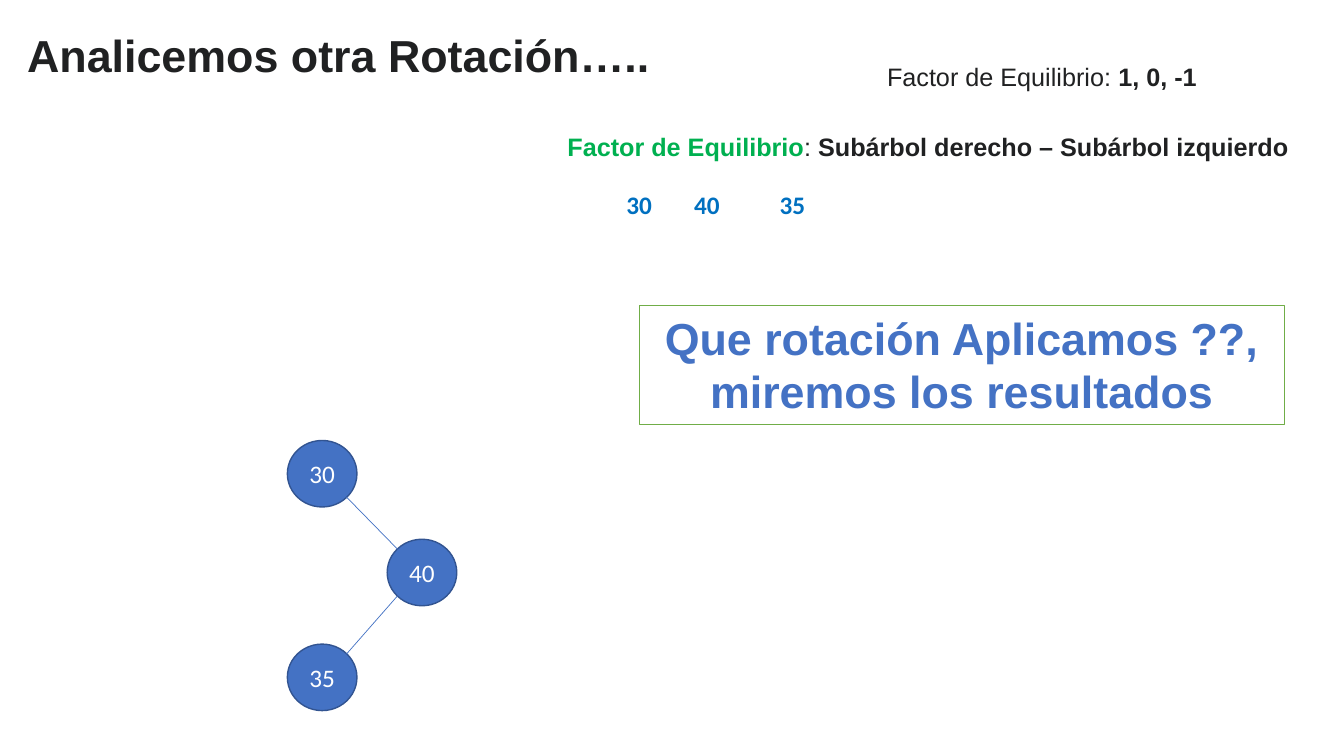
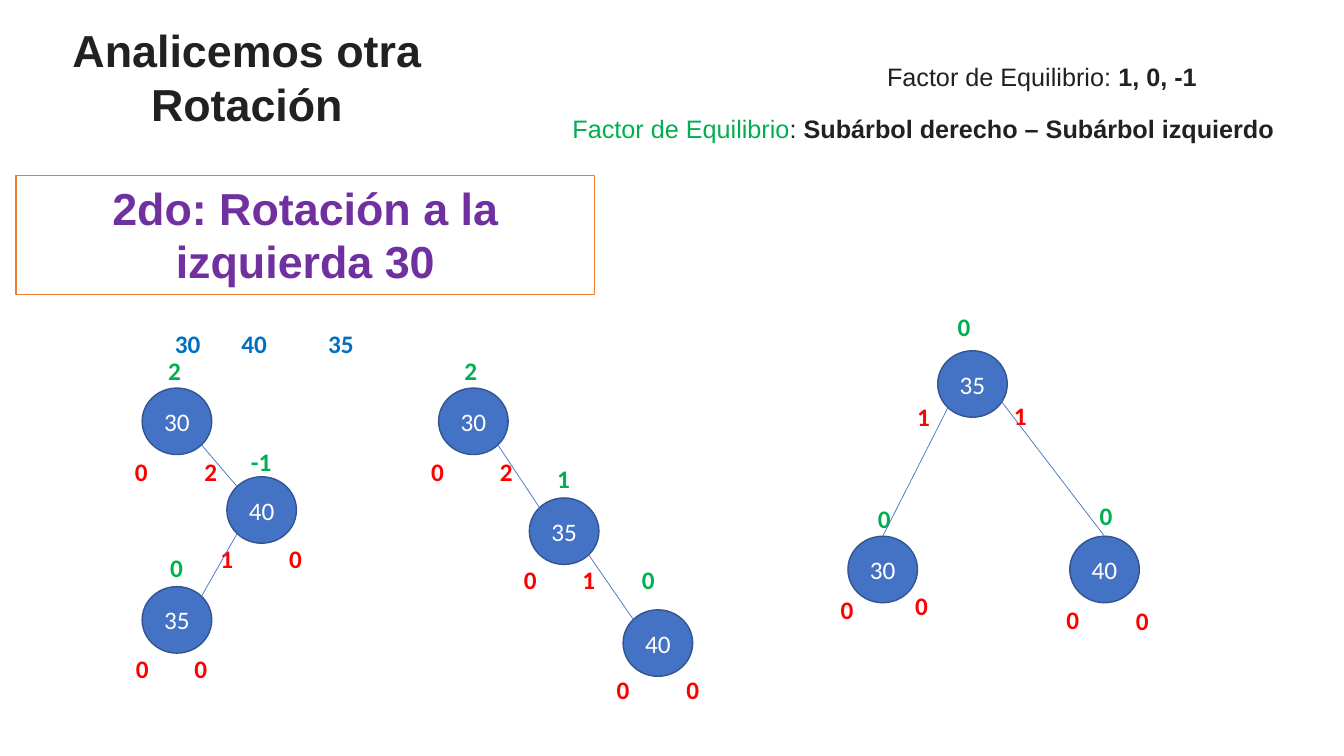
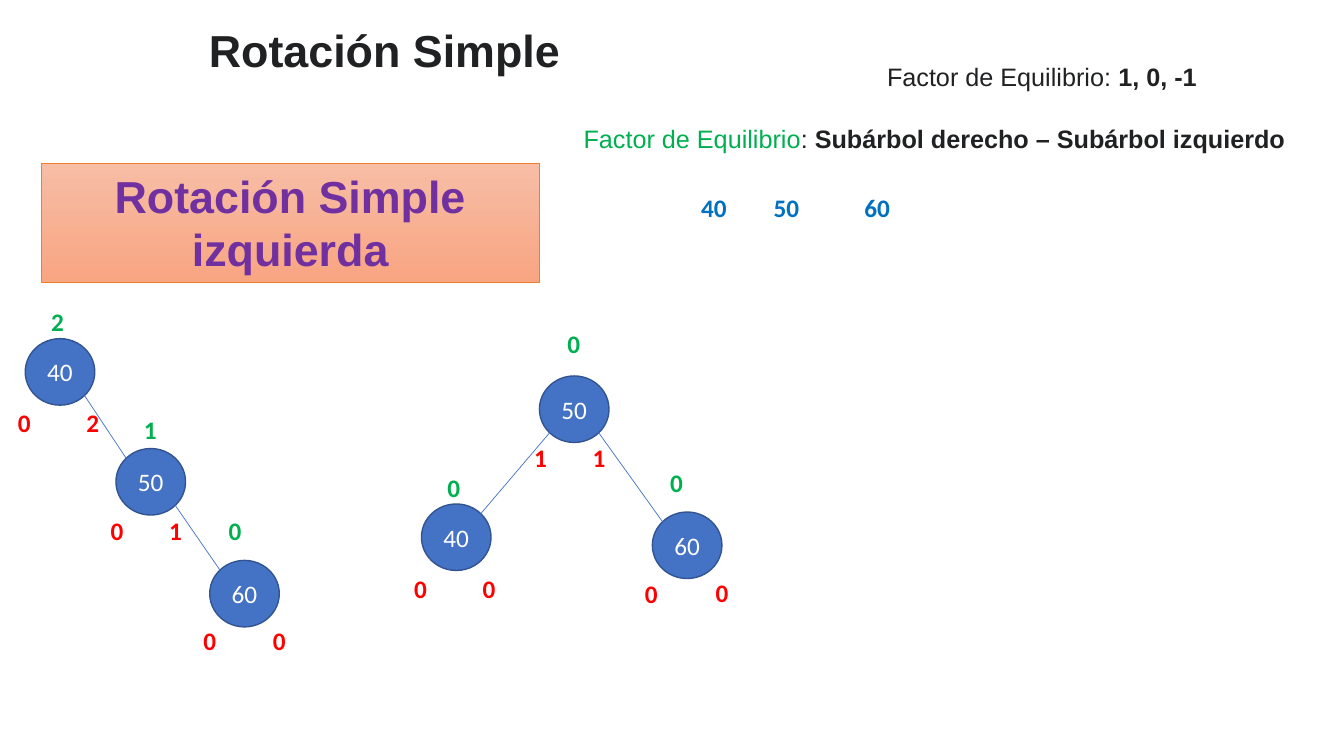
from lxml.etree import SubElement
from pptx import Presentation
from pptx.dml.color import RGBColor
from pptx.enum.shapes import MSO_CONNECTOR, MSO_SHAPE
from pptx.enum.text import MSO_ANCHOR, MSO_AUTO_SIZE, PP_ALIGN
from pptx.oxml.ns import qn
from pptx.util import Inches, Pt

COLORS = {
    "ink": "202122", "green": "00B050", "blue": "0070C0", "red": "FF0000",
    "purple": "7030A0", "node": "4472C4", "node_line": "325491",
    "white": "FFFFFF", "lime": "70AD47", "orange": "ED7D31",
    "peach": "F7BDA5", "salmon": "F8A582",
}
NODE_W, NODE_H = 0.69, 0.66
LABEL_W, LABEL_H = 0.48, 0.4
LABEL_COLORS = ("green", "red", "red")

N, NW, NE, SW, SE = (0.5, 0), (0.15, 0.15), (0.85, 0.15), (0.15, 0.85), (0.85, 0.85)

# node: key, dx, dy, then (value, dx, dy) for balance, left height, right height
ZIGZAG_EDGES = [(0, 1, SE, NW), (1, 2, SW, NE)]
CHAIN_EDGES = [(0, 1, SE, NW), (1, 2, SE, NW)]
FORK_EDGES = [(0, 1, SW, NE), (0, 2, SE, NW)]


def chain(first, second, third):
    return [
        (first, 0, 0, [("2", 0.08, -0.37), ("0", -0.25, 0.63), ("2", 0.43, 0.63)]),
        (second, 0.9, 1.09, [("1", 0.1, -0.39), ("0", -0.23, 0.61), ("1", 0.35, 0.61)]),
        (third, 1.83, 2.2, [("0", 0.01, -0.5), ("0", -0.24, 0.59), ("0", 0.45, 0.59)]),
    ]


SLIDES = [
    {
        "title": ("Analicemos otra Rotación…..", (0.16, 0.22, 6.4, 0.64)),
        "formula": (5.53, 1.25, True),
        "keys": (1.83, [("30", 6.1), ("40", 6.77), ("35", 7.62)]),
        "banner": ("Que rotación Aplicamos ??, miremos los resultados",
                   (6.34, 3.03, 6.4, 1.18), "node", ["white"], "lime", 1),
        "trees": [
            ((2.85, 4.37), [("30", 0, 0, []), ("40", 0.99, 0.98, []),
                            ("35", 0, 2.02, [])], ZIGZAG_EDGES),
        ],
    },
    {
        "title": ("Analicemos otra Rotación", (-0.02, 0.18, 4.94, 1.18)),
        "formula": (5.58, 1.08, False),
        "keys": (3.21, [("30", 1.62), ("40", 2.28), ("35", 3.14)]),
        "banner": ("2do: Rotación a la izquierda 30",
                   (0.16, 1.74, 5.74, 1.18), "purple", ["white"], "orange", 1),
        "trees": [
            ((1.41, 3.85), [
                ("30", 0, 0, [("2", 0.08, -0.37), ("0", -0.25, 0.63), ("2", 0.44, 0.63)]),
                ("40", 0.84, 0.88, [("-1", 0.1, -0.35), ("1", -0.24, 0.61), ("0", 0.44, 0.61)]),
                ("35", 0, 1.97, [("0", 0.1, -0.39), ("0", -0.24, 0.61), ("0", 0.34, 0.61)]),
            ], ZIGZAG_EDGES),
            ((4.35, 3.85), chain("30", "35", "40"), CHAIN_EDGES),
            ((9.3, 3.48), [
                ("35", 0, 0, [("0", 0.02, -0.44), ("1", -0.38, 0.45), ("1", 0.58, 0.44)]),
                ("30", -0.89, 1.84, [("0", 0.12, -0.38), ("0", -0.25, 0.53), ("0", 0.49, 0.49)]),
                ("40", 1.31, 1.84, [("0", 0.12, -0.41), ("0", -0.21, 0.63), ("0", 0.48, 0.64)]),
            ], [(0, 1, SW, N), (0, 2, (0.85, 0.67), N)]),
        ],
    },
    {
        "title": ("Rotación Simple", (-0.07, 0.18, 7.77, 0.64)),
        "formula": (5.69, 1.17, False),
        "keys": (1.86, [("40", 6.84), ("50", 7.56), ("60", 8.46)]),
        "banner": ("Rotación Simple izquierda", (0.41, 1.62, 4.94, 1.18),
                   "purple", ["peach", "salmon"], "orange", 0.5),
        "trees": [
            ((0.25, 3.36), chain("40", "50", "60"), CHAIN_EDGES),
            ((5.35, 3.73), [
                ("50", 0, 0, [("0", 0.1, -0.52), ("1", -0.23, 0.61), ("1", 0.35, 0.61)]),
                ("40", -1.17, 1.27, [("0", 0.08, -0.36), ("0", -0.25, 0.64), ("0", 0.43, 0.64)]),
                ("60", 1.12, 1.35, [("0", 0, -0.49), ("0", -0.25, 0.61), ("0", 0.45, 0.6)]),
            ], FORK_EDGES),
        ],
    },
]


def rgb(name):
    return RGBColor.from_string(COLORS[name])


def style(font, size, name, color, bold=False):
    font.size, font.name, font.bold = Pt(size), name, bold
    font.color.rgb = rgb(color)


def write(sp, text, size, name, color, bold=True, anchor=MSO_ANCHOR.TOP):
    tf = sp.text_frame
    tf.text = text
    tf.word_wrap = True
    tf.auto_size = MSO_AUTO_SIZE.NONE
    tf.vertical_anchor = anchor
    p = tf.paragraphs[0]
    p.alignment = PP_ALIGN.CENTER
    style(p.runs[0].font, size, name, color, bold)


def add_runs(s, box, runs):
    tf = s.shapes.add_textbox(*map(Inches, box)).text_frame
    tf.word_wrap = True
    for text, color, bold in runs:
        r = tf.paragraphs[0].add_run()
        r.text = text
        style(r.font, 18, "Arial", color, bold)


def add_label(s, text, x, y, color):
    sp = s.shapes.add_textbox(*map(Inches, (x, y, LABEL_W, LABEL_H)))
    write(sp, text, 18, "Calibri", color)


def add_box(s, kind, box, fills, line, width):
    sp = s.shapes.add_shape(kind, *map(Inches, box))
    sp.shadow.inherit = False
    if len(fills) == 1:
        sp.fill.solid()
        sp.fill.fore_color.rgb = rgb(fills[0])
    else:
        sp.fill.gradient()
        sp.fill.gradient_angle = 270
        for stop, fill in zip(sp.fill.gradient_stops, fills):
            stop.color.rgb = rgb(fill)
    sp.line.color.rgb = rgb(line)
    sp.line.width = Pt(width)
    return sp


def add_title(s, text, box):
    sp = s.shapes.title
    sp.left, sp.top, sp.width, sp.height = map(Inches, box)
    write(sp, text, 32, "Arial", "ink")


def add_edge(s, start, end):
    line = s.shapes.add_connector(MSO_CONNECTOR.STRAIGHT, *map(Inches, start + end))
    line.line.color.rgb = rgb("node")
    line.line.width = Pt(0.5)
    SubElement(line._element.spPr, qn("a:effectLst"))


def add_tree(s, origin, nodes, edges):
    corners = [(origin[0] + dx, origin[1] + dy) for _, dx, dy, _ in nodes]

    def point(i, share):
        x, y = corners[i]
        return x + share[0] * NODE_W, y + share[1] * NODE_H

    for (key, _, _, labels), (x, y) in zip(nodes, corners):
        sp = add_box(s, MSO_SHAPE.OVAL, (x, y, NODE_W, NODE_H), ["node"], "node_line", 1)
        write(sp, key, 18, "Calibri", "white", False, MSO_ANCHOR.MIDDLE)
        for (value, dx, dy), color in zip(labels, LABEL_COLORS):
            add_label(s, value, x + dx, y + dy, color)
    for parent, child, start, end in edges:
        add_edge(s, point(parent, start), point(child, end))


def add_slide(prs, content):
    s = prs.slides.add_slide(prs.slide_layouts[5])
    add_title(s, *content["title"])
    add_runs(s, (8.7, 0.56, 3.33, 0.4),
             [("Factor de Equilibrio: ", "ink", False), ("1, 0, -1", "ink", True)])
    x, y, bold = content["formula"]
    add_runs(s, (x, y, 7.64, 0.4),
             [("Factor de Equilibrio", "green", bold), (": ", "ink", False),
              ("Subárbol derecho – Subárbol izquierdo", "ink", True)])
    y, keys = content["keys"]
    for key, x in keys:
        add_label(s, key, x, y, "blue")
    text, box, color, fills, line, width = content["banner"]
    sp = add_box(s, MSO_SHAPE.RECTANGLE, box, fills, line, width)
    write(sp, text, 32, "Arial", color)
    for tree in content["trees"]:
        add_tree(s, *tree)


def main():
    prs = Presentation()
    prs.slide_width, prs.slide_height = Inches(13.33), Inches(7.5)
    for content in SLIDES:
        add_slide(prs, content)
    prs.save("out.pptx")


if __name__ == "__main__":
    main()
